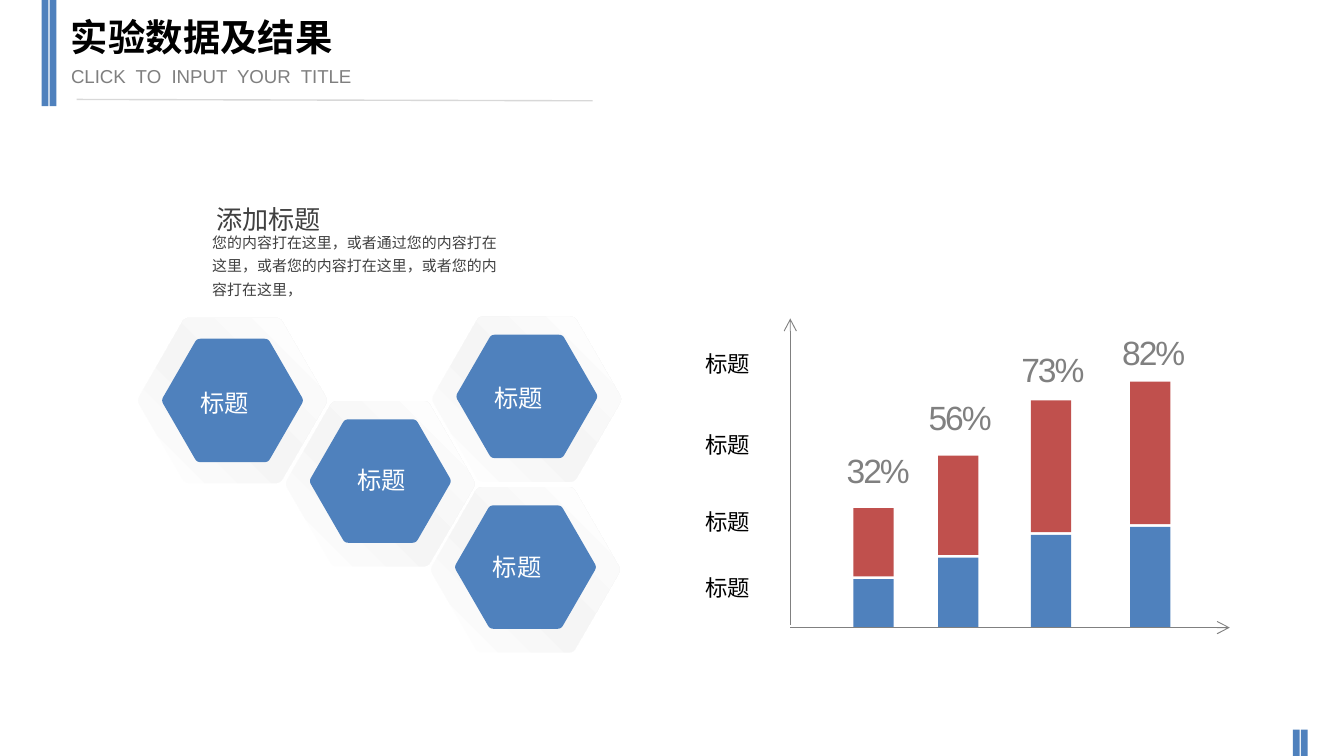
from copy import deepcopy
from math import cos, sin, pi

from pptx import Presentation
from pptx.dml.color import RGBColor as RGB
from pptx.enum.shapes import MSO_CONNECTOR as LINK, MSO_SHAPE as KIND
from pptx.enum.text import MSO_ANCHOR as ANCHOR
from pptx.oxml.ns import qn
from pptx.oxml.xmlchemy import OxmlElement as Node
from pptx.util import Inches, Pt

BLUE, RED, GRAY, WHITE = "4F81BD", "C0504D", "808080", "FFFFFF"
CJK = "Noto Sans CJK SC"


def paint(shape, color):
    """Give a shape a plain fill with no line or shadow."""
    shape.shadow.inherit = False
    shape.line.fill.background()
    shape.fill.solid()
    shape.fill.fore_color.rgb = RGB.from_string(color)


def write(text, left, top, width, height, size, color, font=CJK, bold=False,
          pad=(0.1, 0.05), space=None, lead=None, anchor=ANCHOR.TOP):
    """Add a text box; pad is (side, end) inset, space is letter spacing."""
    box = shapes.add_textbox(*map(Inches, (left, top, width, height)))
    frame = box.text_frame
    frame.word_wrap = True
    frame.vertical_anchor = anchor
    frame.margin_left = frame.margin_right = Inches(pad[0])
    frame.margin_top = frame.margin_bottom = Inches(pad[1])
    para = frame.paragraphs[0]
    if lead:
        para.line_spacing = lead
    run = para.add_run()
    run.text = text
    run.font.size = Pt(size)
    run.font.bold = bold
    run.font.name = font
    run.font.color.rgb = RGB.from_string(color)
    props = run.font._element
    east = Node("a:ea")
    east.set("typeface", font)
    props.find(qn("a:latin")).addnext(east)
    if space:
        props.set("spc", str(round(space * 100)))


deck = Presentation()
deck.slide_width = Inches(10)
deck.slide_height = deck.slide_width * 9 // 16
slide = deck.slides.add_slide(deck.slide_layouts[6])
shapes = slide.shapes

# Paired stripes in two corners
for left, top, height in [(0.31, 0, 0.79), (9.62, 5.43, 0.2)]:
    for step in range(2):
        stripe = shapes.add_shape(KIND.RECTANGLE, Inches(left + step * 0.06),
                                  Inches(top), Inches(0.05), Inches(height))
        paint(stripe, BLUE)

# Header
write("CLICK  TO  INPUT  YOUR  TITLE", 0.43, 0.43, 3.15, 0.27, 10, "7F7F7F",
      font="Arial", anchor=ANCHOR.MIDDLE)
write("实验数据及结果", 0.43, 0.06, 4.04, 0.42, 20, "000000",
      font="Arial", bold=True, anchor=ANCHOR.MIDDLE)

# Stacked bars: value, centre, blue height, red height, label corner
BASE, GAP, WIDE = 4.67, 0.02, 0.3
for value, mid, low, high, left, top in [
    ("32%", 6.5, 0.36, 0.51, 6.22, 3.31),
    ("56%", 7.13, 0.52, 0.74, 6.83, 2.91),
    ("73%", 7.82, 0.69, 0.98, 7.52, 2.56),
    ("82%", 8.56, 0.75, 1.06, 8.27, 2.43),
]:
    parts = [(BASE - low, low, BLUE), (BASE - low - GAP - high, high, RED)]
    for y, height, color in parts:
        bar = shapes.add_shape(KIND.RECTANGLE, Inches(mid - WIDE / 2),
                               Inches(y), Inches(WIDE), Inches(height))
        paint(bar, color)
    write(value, left, top, 0.73, 0.38, 18, GRAY, font="Arial",
          pad=(0.08, 0.04), space=-1.1)

# Hexagons with rounded corners: centre, lift of the core, label corner
ROUND = 0.05
for x, y, lift, left, top in [
    (1.73, 2.98, 0, 1.39, 2.84),
    (2.83, 3.6, 0.02, 2.56, 3.41),
    (3.92, 2.97, 0.02, 3.58, 2.8),
    (3.91, 4.24, 0.02, 3.57, 4.06),
]:
    for radius, color, rise in [(0.72, WHITE, 0), (0.71, "F5F5F5", 0),
                                (0.53, BLUE, lift)]:
        tips = [(x + radius * cos(i * pi / 3),
                 y - rise + radius * sin(i * pi / 3)) for i in range(6)]
        dots = []
        for i, tip in enumerate(tips):
            prior, after = tips[i - 1], tips[(i + 1) % 6]
            for t in (0, 0.25, 0.5, 0.75, 1):
                back, ahead = ROUND * (1 - t) ** 2, ROUND * t ** 2
                dots.append(tuple(Inches(c + back * (p - c) + ahead * (n - c))
                                  for p, c, n in zip(prior, tip, after)))
        pen = shapes.build_freeform(*dots[0])
        pen.add_line_segments(dots[1:])
        hexagon = pen.convert_to_shape()
        paint(hexagon, color)
        if radius == 0.71:
            fill = hexagon.fill
            fill.gradient()
            fill.gradient_angle = 45
            stops = hexagon._element.spPr.find(".//" + qn("a:gsLst"))
            stops.append(deepcopy(stops[0]))
            shades = [(0, WHITE), (0.47, color), (1, WHITE)]
            for stop, (place, shade) in zip(fill.gradient_stops, shades):
                stop.position = place
                stop.color.rgb = RGB.from_string(shade)
    write("标题", left, top, 0.87, 0.32, 13, WHITE)

# Header rule and chart axes
for x1, y1, x2, y2, color, width, arrow in [
    (0.57, 0.74, 4.41, 0.75, "D8D8D8", 0.75, False),
    (5.88, BASE, 9.15, BASE, GRAY, 0.5, True),
    (5.88, 4.65, 5.88, 2.37, GRAY, 0.5, True),
]:
    rule = shapes.add_connector(LINK.STRAIGHT,
                                *map(Inches, (x1, y1, x2, y2)))
    rule.line.color.rgb = RGB.from_string(color)
    rule.line.width = Pt(width)
    if arrow:
        tail = Node("a:tailEnd")
        tail.set("type", "arrow")
        rule.line._get_or_add_ln().append(tail)
    rule._element.spPr.append(Node("a:effectLst"))

for top in (2.56, 3.16, 3.73, 4.22):
    write("标题", 5.15, top, 0.73, 0.3, 12, "000000")

# Text above the hexagons
write("您的内容打在这里，或者通过您的内容打在这里，或者您的内容打在这里，或者您的内容打在这里，",
      1.48, 1.65, 2.39, 0.61, 8, "404040", lead=1.3)
write("添加标题", 1.51, 1.4, 1.04, 0.31, 14, "404040", pad=(0.1, 0), lead=1.5)

deck.save("out.pptx")
